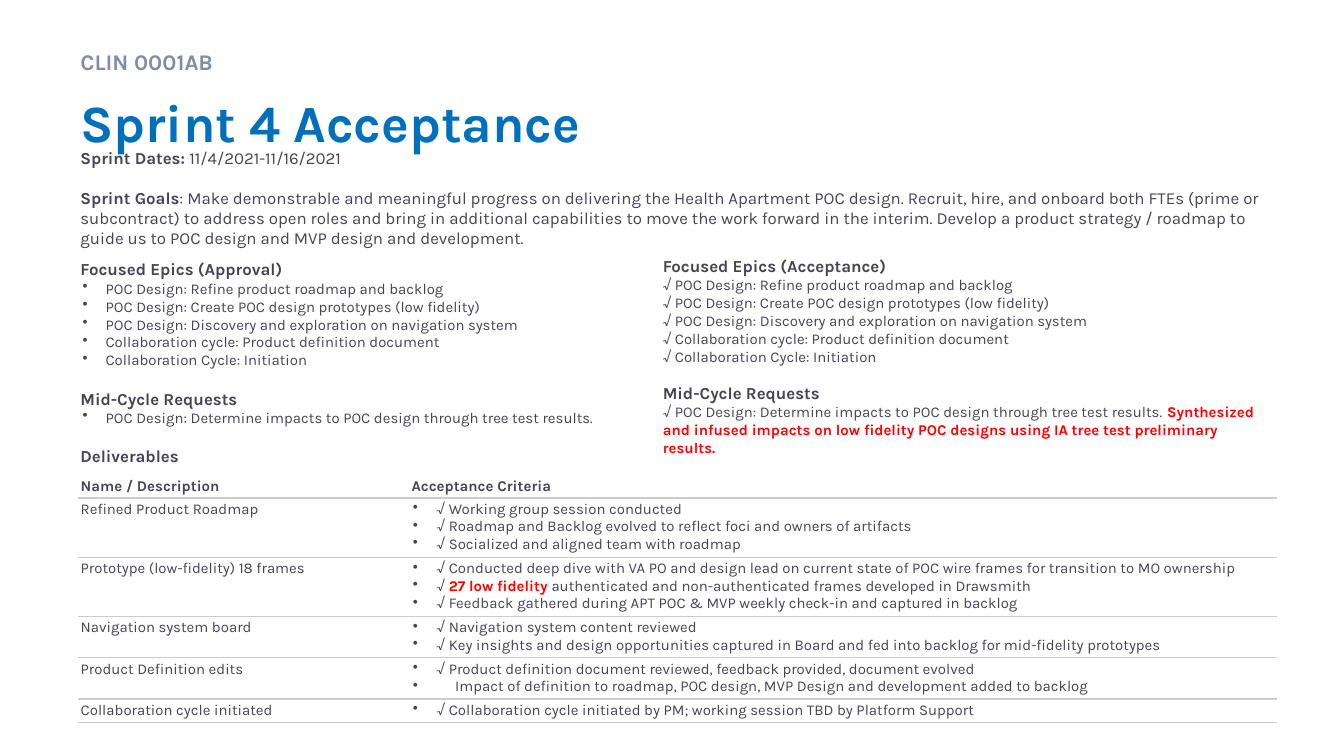
from lxml.etree import SubElement
from pptx import Presentation
from pptx.dml.color import RGBColor
from pptx.enum.shapes import MSO_SHAPE
from pptx.enum.text import MSO_ANCHOR, PP_ALIGN
from pptx.oxml.ns import qn
from pptx.util import Pt

FONT = "Karla"
COLORS = {"text": "454454", "muted": "7F8EA3", "title": "0070BC",
          "alert": "FF0000", "rule": "CCCCCC", "white": "FFFFFF"}
LINE = 9.36  # height of one 8 pt line


def set_frame(tf, margin_x, margin_y, anchor=MSO_ANCHOR.TOP):
    frame = {"word_wrap": True, "vertical_anchor": anchor,
             "margin_left": Pt(margin_x), "margin_right": Pt(margin_x),
             "margin_top": Pt(margin_y), "margin_bottom": Pt(margin_y)}
    for name, value in frame.items():
        setattr(tf, name, value)
    return tf


def add_text(tf, runs, size=8, before=0, bullet=None):
    """Add a paragraph; runs are (text, bold, colour), bullet is (margin, indent)."""
    p = tf.paragraphs[0]
    if p.runs:
        p = tf.add_paragraph()
    if bullet:
        pPr = p._p.get_or_add_pPr()
        pPr.set("marL", str(Pt(bullet[0])))
        pPr.set("indent", str(Pt(bullet[1])))
        SubElement(pPr, qn("a:buChar")).set("char", "•")
    p.alignment = PP_ALIGN.LEFT
    if before:
        p.space_before = Pt(before)
    for text, bold, color in runs:
        r = p.add_run()
        r.text = text
        style = {"name": FONT, "size": Pt(size), "bold": bold}
        for name, value in style.items():
            setattr(r.font, name, value)
        r.font.color.rgb = RGBColor.from_string(COLORS[color])
    return p


prs = Presentation()
prs.slide_width, prs.slide_height = Pt(720), Pt(405)
s = prs.slides.add_slide(prs.slide_layouts[6])

# Goals and approved epics
LIST = (13.5, -12.25)
box = s.shapes.add_textbox(Pt(36), Pt(72), Pt(648), Pt(188))
tf = set_frame(box.text_frame, 7.2, 7.2)
add_text(tf, [("Sprint Dates: ", True, "text"),
              ("11/4/2021-11/16/2021", False, "text")], 9)
add_text(tf, [("Sprint Goals", True, "text"),
              (": Make demonstrable and meaningful progress on delivering the "
               "Health Apartment POC design. Recruit, hire, and onboard both FTEs "
               "(prime or subcontract) to address open roles and bring in additional "
               "capabilities to move the work forward in the interim. Develop a "
               "product strategy / roadmap to guide us to POC design and MVP design "
               "and development.", False, "text")], 9, 10.5)
epics = ["POC Design: Refine product roadmap and backlog",
         "POC Design: Create POC design prototypes (low fidelity)",
         "POC Design: Discovery and exploration on navigation system",
         "Collaboration cycle: Product definition document",
         "Collaboration Cycle: Initiation"]
request = "POC Design: Determine impacts to POC design through tree test results."
add_text(tf, [("Focused Epics (Approval)", True, "text")], 9, 5.85)
for epic in epics:
    add_text(tf, [(epic, False, "text")], bullet=LIST)
add_text(tf, [("Mid-Cycle Requests", True, "text")], 9, 10.5)
add_text(tf, [(request, False, "text")], bullet=LIST)
add_text(tf, [("Deliverables", True, "text")], 9, 10.5)

# Headings
sp = s.shapes.add_textbox(Pt(36), Pt(19.5), Pt(648), Pt(21))
p = add_text(set_frame(sp.text_frame, 7.2, 3.6), [("CLIN 0001AB", True, "muted")], 12)
p.line_spacing = 1.2
sp = s.shapes.add_textbox(Pt(36), Pt(40.5), Pt(648), Pt(49.5))
add_text(set_frame(sp.text_frame, 7.2, 3.6, MSO_ANCHOR.MIDDLE),
         [("Sprint 4 Acceptance", True, "title")], 28)

# Accepted epics
panel = s.shapes.add_shape(MSO_SHAPE.RECTANGLE, Pt(348), Pt(129.6), Pt(335.5), Pt(113.8))
panel.shadow.inherit = False
panel.fill.solid()
panel.fill.fore_color.rgb = RGBColor.from_string(COLORS["white"])
panel.line.fill.background()
tf = set_frame(panel.text_frame, 7.2, 7.2)
add_text(tf, [("Focused Epics (Acceptance)", True, "text")], 9)
for epic in epics:
    add_text(tf, [("√ " + epic, False, "text")])
add_text(tf, [("Mid-Cycle Requests", True, "text")], 9, LINE)
add_text(tf, [("√ " + request + " ", False, "text"),
              ("Synthesized and infused impacts on low fidelity POC designs using "
               "IA tree test preliminary results.", True, "alert")])

# Deliverables table: name, then criteria as lists of runs
CHECK = (13.5, -12.75)
UNCHECKED = (23.4, -22.65)
deliverables = [
    ("Refined Product Roadmap", [
        "√ Working group session conducted",
        "√ Roadmap and Backlog evolved to reflect foci and owners of artifacts",
        "√ Socialized and aligned team with roadmap"]),
    ("Prototype (low-fidelity) 18 frames", [
        "√ Conducted deep dive with VA PO and design lead on current state of POC "
        "wire frames for transition to MO ownership",
        [("√ ", False, "text"), ("27 low fidelity", True, "alert"),
         (" authenticated and non-authenticated frames developed in Drawsmith",
          False, "text")],
        "√ Feedback gathered during APT POC & MVP weekly check-in and captured in backlog"]),
    ("Navigation system board", [
        "√ Navigation system content reviewed",
        "√ Key insights and design opportunities captured in Board and fed into "
        "backlog for mid-fidelity prototypes"]),
    ("Product Definition edits", [
        "√ Product definition document reviewed, feedback provided, document evolved",
        "Impact of definition to roadmap, POC design, MVP Design and development "
        "added to backlog"]),
    ("Collaboration cycle initiated", [
        "√ Collaboration cycle initiated by PM; working session TBD by Platform Support"]),
]
heights = [LINE + 3] + [len(criteria) * LINE + 3 for _, criteria in deliverables]
table = s.shapes.add_table(len(heights), 2, Pt(41.75), Pt(254.2), Pt(642.25),
                           Pt(sum(heights))).table
tblPr = table._tbl.tblPr
tblPr.find(qn("a:tableStyleId")).text = "{2D5ABB26-0587-4C30-8999-92F81FD0307C}"
table.horz_banding = False
for column, width in zip(table.columns, (177.25, 465)):
    column.width = Pt(width)
for row, height in zip(table.rows, heights):
    row.height = Pt(height)

# Cell margins and rules
for cell in table.iter_cells():
    set_frame(cell, 1.5, 1.5)
    cell.text_frame.word_wrap = True
    cell.fill.background()
    tcPr = cell._tc.get_or_add_tcPr()
    border = SubElement(tcPr, qn("a:lnB"), w=str(Pt(0.75)))
    SubElement(SubElement(border, qn("a:solidFill")), qn("a:srgbClr"), val=COLORS["rule"])
    tcPr.insert(0, border)

# Cell text
for col, heading in enumerate(("Name / Description", "Acceptance Criteria")):
    cell = table.cell(0, col)
    cell.vertical_anchor = MSO_ANCHOR.BOTTOM
    add_text(cell.text_frame, [(heading, True, "text")])
for row, (name, criteria) in enumerate(deliverables, 1):
    add_text(table.cell(row, 0).text_frame, [(name, False, "text")])
    for item in criteria:
        runs = [(item, False, "text")] if isinstance(item, str) else item
        bullet = CHECK if runs[0][0].startswith("√") else UNCHECKED
        add_text(table.cell(row, 1).text_frame, runs, bullet=bullet)

prs.save("out.pptx")
